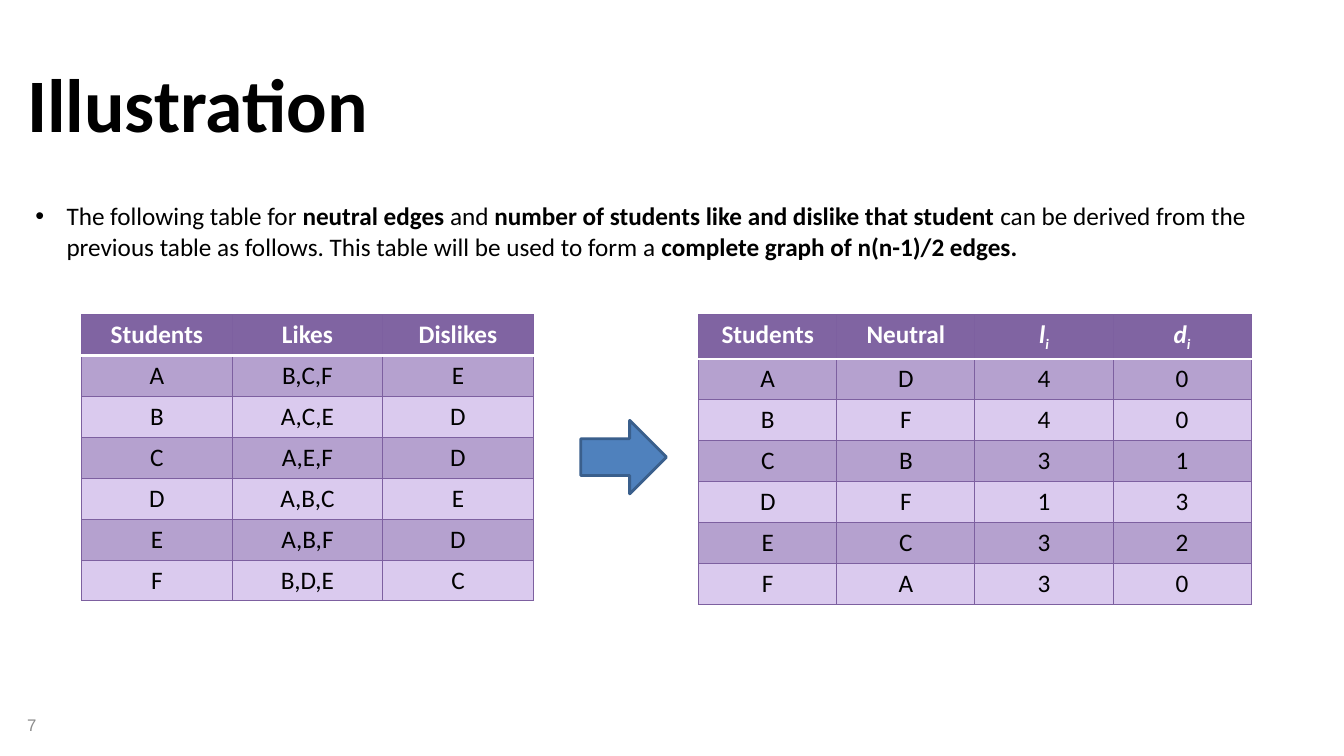
from dataclasses import dataclass

from lxml.etree import SubElement
from pptx import Presentation
from pptx.dml.color import RGBColor
from pptx.enum.shapes import MSO_SHAPE
from pptx.enum.text import MSO_ANCHOR, MSO_AUTO_SIZE, PP_ALIGN
from pptx.oxml.ns import qn
from pptx.slide import Slide
from pptx.table import _Cell
from pptx.text.text import TextFrame, _Run
from pptx.util import Inches, Pt

BLACK = RGBColor(0x00, 0x00, 0x00)
WHITE = RGBColor(0xFF, 0xFF, 0xFF)
GRAY = RGBColor(0x8C, 0x8C, 0x8C)
PURPLE = RGBColor(0x80, 0x64, 0xA2)
GRID = RGBColor(0x7D, 0x60, 0xA0)
DARK_BAND = RGBColor(0xB5, 0xA1, 0xCF)
LIGHT_BAND = RGBColor(0xDA, 0xCA, 0xEE)
ARROW_FILL = RGBColor(0x4F, 0x81, 0xBD)
ARROW_LINE = RGBColor(0x3A, 0x5F, 0x8C)

ROW_HEIGHT = 0.406
TABLE_TOP = 3.12


@dataclass(frozen=True)
class StudentTable:
    left: float
    column_width: float
    header: list[str]
    rows: list[list[str]]


@dataclass(frozen=True)
class Phrase:
    text: str
    bold: bool = False


LIKES = StudentTable(0.81, 1.493, ["Students", "Likes", "Dislikes"], [
    ["A", "B,C,F", "E"],
    ["B", "A,C,E", "D"],
    ["C", "A,E,F", "D"],
    ["D", "A,B,C", "E"],
    ["E", "A,B,F", "D"],
    ["F", "B,D,E", "C"],
])
NEUTRALS = StudentTable(6.93, 1.37, ["Students", "Neutral", "l_i", "d_i"], [
    ["A", "D", "4", "0"],
    ["B", "F", "4", "0"],
    ["C", "B", "3", "1"],
    ["D", "F", "1", "3"],
    ["E", "C", "3", "2"],
    ["F", "A", "3", "0"],
])
EXPLANATION = [
    Phrase("The following table for "),
    Phrase("neutral edges ", True),
    Phrase("and"),
    Phrase(" number of students like and dislike that student ", True),
    Phrase("can be derived from the previous table as follows. "
           "This table will be used to form a "),
    Phrase("complete graph of n(n-1)/2 edges.", True),
]


def format_run(run: _Run, size: float, color: RGBColor, bold: bool = False,
               font_name: str = "Calibri") -> None:
    run.font.name = font_name
    run.font.size = Pt(size)
    run.font.bold = bold
    run.font.color.rgb = color


def place(shape, left: float, top: float, width: float, height: float) -> TextFrame:
    shape.left, shape.top = Inches(left), Inches(top)
    shape.width, shape.height = Inches(width), Inches(height)
    frame = shape.text_frame
    frame.word_wrap = True
    frame.auto_size = MSO_AUTO_SIZE.NONE
    frame.vertical_anchor = MSO_ANCHOR.TOP
    return frame


def set_border(cell: _Cell, position: int, side: str, color: RGBColor, width: float) -> None:
    properties = cell._tc.get_or_add_tcPr()
    line = SubElement(properties, qn(f"a:{side}"), w=str(Pt(width)))
    fill = SubElement(line, qn("a:solidFill"))
    SubElement(fill, qn("a:srgbClr"), val=str(color))
    properties.insert(position, line)


def write_cell(cell: _Cell, text: str, row_index: int) -> None:
    is_header = row_index == 0
    paragraph = cell.text_frame.paragraphs[0]
    paragraph.alignment = PP_ALIGN.CENTER
    symbol, _, subscript = text.partition("_")
    paragraph.text = symbol
    if subscript:
        paragraph.add_run().text = subscript
        paragraph.runs[1].font._element.set("baseline", "-25000")
    for run in paragraph.runs:
        format_run(run, 18, WHITE if is_header else BLACK, is_header)
        run.font.italic = bool(subscript)
    cell.fill.solid()
    band = DARK_BAND if row_index % 2 else LIGHT_BAND
    cell.fill.fore_color.rgb = PURPLE if is_header else band
    white_side = {0: "lnB", 1: "lnT"}.get(row_index)
    for position, side in enumerate(("lnL", "lnR", "lnT", "lnB")):
        if side == white_side:
            set_border(cell, position, side, WHITE, 2)
        else:
            set_border(cell, position, side, GRID, 0.75)


def draw_table(slide: Slide, students: StudentTable) -> None:
    lines = [students.header, *students.rows]
    column_count = len(students.header)
    table = slide.shapes.add_table(
        len(lines), column_count, Inches(students.left), Inches(TABLE_TOP),
        Inches(students.column_width * column_count), Inches(ROW_HEIGHT * len(lines)),
    ).table
    for row_index, line in enumerate(lines):
        for column_index, text in enumerate(line):
            write_cell(table.cell(row_index, column_index), text, row_index)


def draw_title(slide: Slide) -> None:
    frame = place(slide.shapes.title, 0.17, 0.51, 8.82, 1.01)
    frame.text = "Illustration"
    frame.paragraphs[0].alignment = PP_ALIGN.LEFT
    format_run(frame.paragraphs[0].runs[0], 54, BLACK, True)


def draw_explanation(slide: Slide) -> None:
    frame = place(slide.placeholders[1], 0.25, 1.94, 13.08, 0.71)
    paragraph = frame.paragraphs[0]
    properties = paragraph._p.get_or_add_pPr()
    properties.set("marL", str(Inches(0.31)))
    properties.set("indent", str(Inches(-0.31)))
    SubElement(properties, qn("a:buFont"), typeface="Arial")
    SubElement(properties, qn("a:buChar"), char="•")
    paragraph.space_before = Pt(0)
    for phrase in EXPLANATION:
        run = paragraph.add_run()
        run.text = phrase.text
        format_run(run, 18, BLACK, phrase.bold)


def draw_arrow(slide: Slide) -> None:
    arrow = slide.shapes.add_shape(
        MSO_SHAPE.RIGHT_ARROW, Inches(5.76), Inches(4.17), Inches(0.85), Inches(0.73))
    arrow.shadow.inherit = False
    arrow.fill.solid()
    arrow.fill.fore_color.rgb = ARROW_FILL
    arrow.line.color.rgb = ARROW_LINE
    arrow.line.width = Pt(2)


def draw_page_number(slide: Slide) -> None:
    page_number = slide.shapes.add_textbox(0, 0, 0, 0)
    frame = place(page_number, 0.17, 6.99, 4.22, 0.4)
    frame.vertical_anchor = MSO_ANCHOR.MIDDLE
    frame.text = "7"
    format_run(frame.paragraphs[0].runs[0], 12, GRAY, font_name="Arial")


def main() -> None:
    presentation = Presentation()
    presentation.slide_width = Inches(13.33)
    presentation.slide_height = Inches(7.5)
    slide = presentation.slides.add_slide(presentation.slide_layouts[1])
    draw_title(slide)
    draw_explanation(slide)
    draw_table(slide, LIKES)
    draw_arrow(slide)
    draw_table(slide, NEUTRALS)
    draw_page_number(slide)
    presentation.save("out.pptx")


if __name__ == "__main__":
    main()
